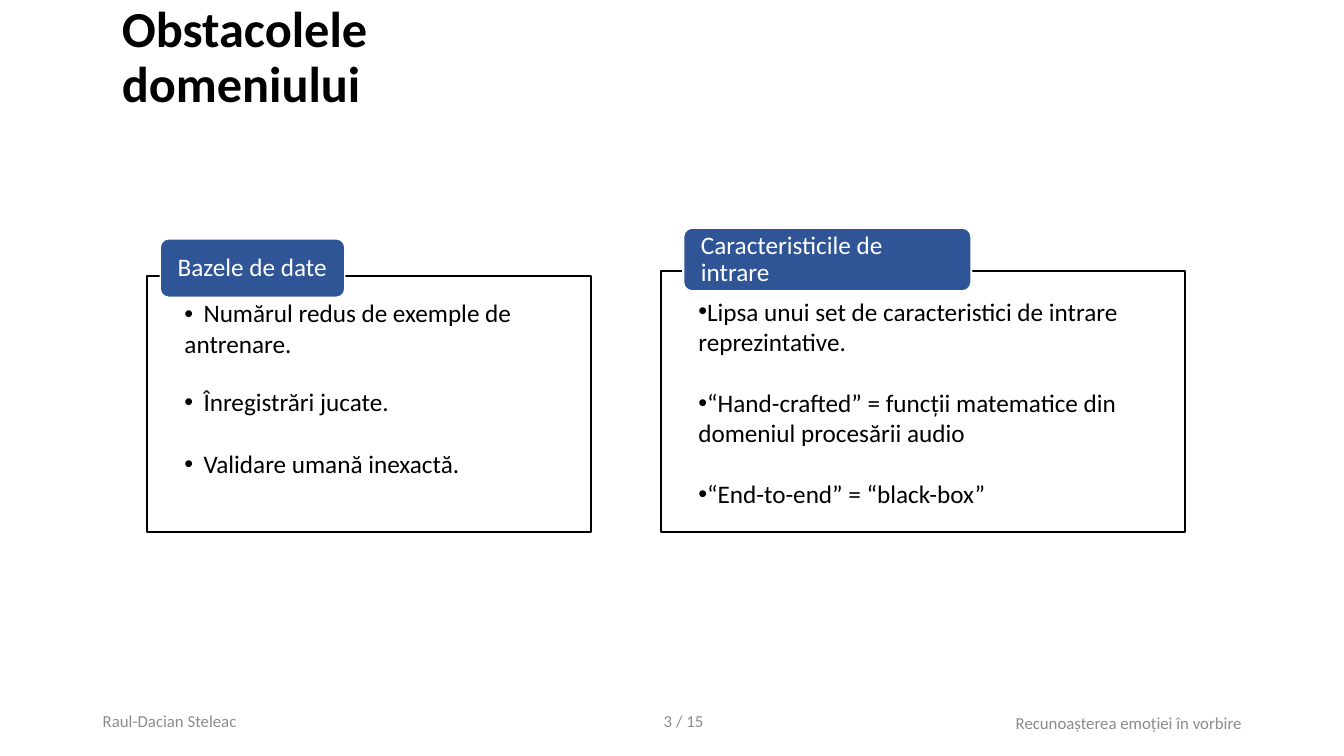
from lxml.etree import SubElement
from pptx import Presentation
from pptx.dml.color import RGBColor
from pptx.enum.shapes import MSO_SHAPE as Shape
from pptx.enum.text import MSO_ANCHOR as Anchor, PP_ALIGN as Align
from pptx.oxml.ns import qn
from pptx.util import Cm, Pt

BLACK = RGBColor(0x00, 0x00, 0x00)
WHITE = RGBColor(0xFF, 0xFF, 0xFF)
BLUE = RGBColor(0x2F, 0x55, 0x97)
GREY = RGBColor(0x8C, 0x8C, 0x8C)
FACE = "Calibri"


def inset(frame, side, top, base):
    frame.margin_left = frame.margin_right = Cm(side)
    frame.margin_top, frame.margin_bottom = Cm(top), Cm(base)


def style(para, size, color, bold=False):
    font = para.font
    font.name, font.size, font.bold = FACE, Pt(size), bold
    font.color.rgb = color


def bullet(para, hang):
    """Add a round bullet with a hanging indent in centimetres."""
    props = para._p.get_or_add_pPr()
    props.set("marL", str(Cm(hang)))
    props.set("indent", str(-Cm(hang)))
    SubElement(props, qn("a:buFont")).set("typeface", "Arial")
    SubElement(props, qn("a:buChar")).set("char", "•")


def block(slide, kind, box, fill, line, width):
    shape = slide.shapes.add_shape(kind, *map(Cm, box))
    shape.shadow.inherit = False
    shape.fill.solid()
    shape.fill.fore_color.rgb = fill
    shape.line.color.rgb = line
    shape.line.width = Pt(width)
    shape.text_frame.word_wrap = True
    return shape


def label(slide, box, text, size, color, align=Align.LEFT, bold=False,
          anchor=Anchor.MIDDLE, lead=1.0):
    frame = slide.shapes.add_textbox(*map(Cm, box)).text_frame
    frame.word_wrap = True
    frame.vertical_anchor = anchor
    frame.text = text
    para = frame.paragraphs[0]
    para.alignment = align
    para.line_spacing = lead
    style(para, size, color, bold)


def panel(slide, box, tab, edge, head, items, hang, lead, after):
    """Draw a framed list; tab is placed from the frame's top left corner.

    Each item is its text, whether it has a bullet, and the space before it.
    """
    left, top = box[:2]
    frame = block(slide, Shape.RECTANGLE, box, WHITE, BLACK, 1.5).text_frame
    frame.vertical_anchor = Anchor.TOP
    inset(frame, 0.94, 0.63, 0.3)
    frame.text = "\n".join(text for text, _, _ in items)
    for para, (_, dot, gap) in zip(frame.paragraphs, items):
        para.alignment = Align.LEFT
        para.line_spacing = lead
        para.space_before, para.space_after = Pt(gap), Pt(after)
        if dot:
            bullet(para, hang)
        style(para, 18, BLACK)

    dx, dy, wide, high = tab
    spot = (left + dx, top + dy, wide, high)
    cap = block(slide, Shape.ROUNDED_RECTANGLE, spot, BLUE, WHITE, edge)
    cap.adjustments[0] = 0.14
    frame = cap.text_frame
    frame.vertical_anchor = Anchor.MIDDLE
    inset(frame, 0.38, 0.05, 0.05)
    frame.text = head
    para = frame.paragraphs[0]
    para.alignment = Align.LEFT
    para.line_spacing = 0.9
    style(para, 18, WHITE)


def footer(slide, left, top, width):
    high = 1.02
    label(slide, (left, top, 7.62, high), "Raul-Dacian Steleac", 12, GREY)
    label(slide, (left + width - 11.43, top + 0.05, 11.43, high),
          "Recunoașterea emoției în vorbire", 12, GREY, Align.RIGHT)
    mid = left + 13.71
    label(slide, (mid, top, 1.14, high), "3", 12, GREY, Align.RIGHT)
    label(slide, (mid + 0.74, top + 0.13, 1.47, 0.76), "/ 15", 12, GREY,
          anchor=Anchor.TOP)


def main():
    deck = Presentation()
    deck.slide_width, deck.slide_height = Cm(33.87), Cm(19.05)
    slide = deck.slides.add_slide(deck.slide_layouts[6])
    panel(slide, (3.71, 6.96, 11.18, 6.45), (0.33, -0.94, 4.65, 1.47), 1,
          "Bazele de date",
          [("Numărul redus de exemple de", True, 0),
           ("antrenare.", False, 0),
           ("Înregistrări jucate.", True, 19),
           ("Validare umană inexactă.", True, 22)],
          hang=0.48, lead=0.9, after=2.7)
    panel(slide, (16.66, 6.83, 13.21, 6.58), (0.56, -1.09, 7.26, 1.6), 1.5,
          "Caracteristicile de intrare",
          [("Lipsa unui set de caracteristici de intrare reprezintative.",
            True, 0),
           ("“Hand-crafted” = funcții matematice din domeniul procesării audio",
            True, 22),
           ("“End-to-end” = “black-box”", True, 22)],
          hang=0, lead=1.0, after=0)
    label(slide, (2.82, 0.61, 12.32, 1.73), "Obstacolele domeniului", 36,
          BLACK, bold=True, lead=0.9)
    footer(slide, 2.34, 17.65, 29.21)
    deck.save("out.pptx")


if __name__ == "__main__":
    main()
